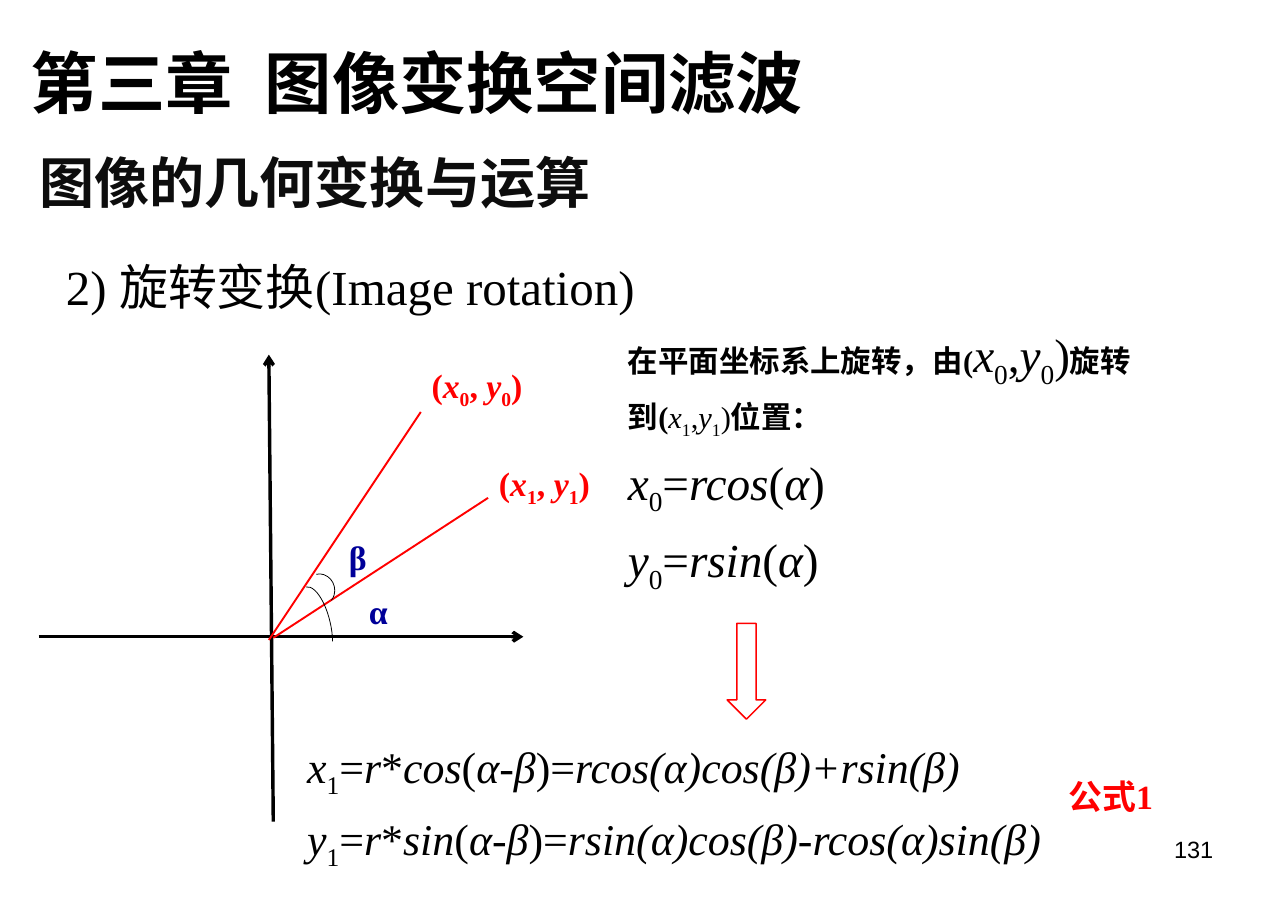
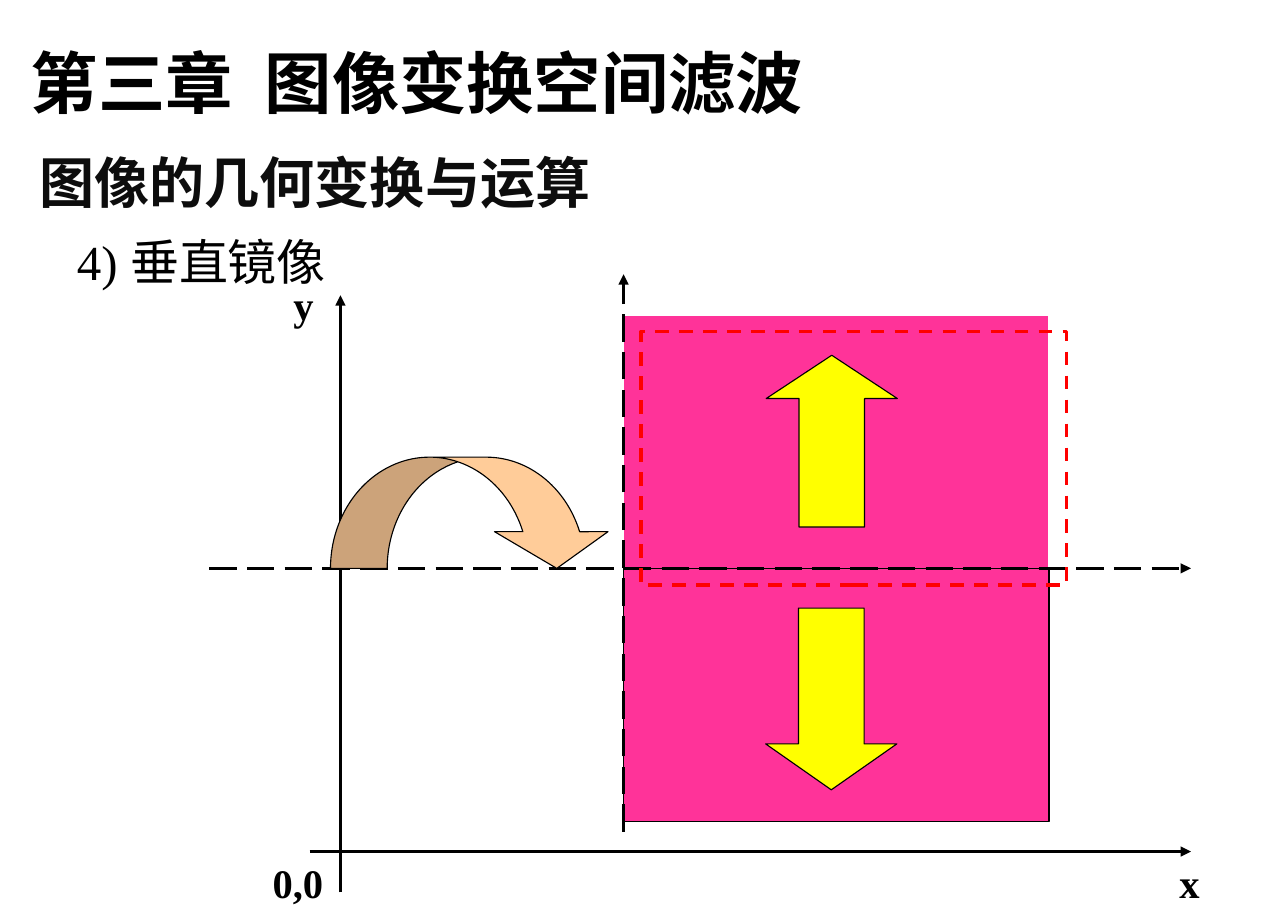
"""Two lecture slides on image rotation and vertical mirroring."""
from dataclasses import dataclass
from typing import Optional

from lxml import etree
from pptx import Presentation
from pptx import util as u
from pptx.dml.color import RGBColor
from pptx.enum import dml, shapes, text
from pptx.oxml import ns

BLACK, WHITE, RED = "000000", "FFFFFF", "FF0000"
NAVY, PINK, YELLOW, PEACH = "000099", "FF3399", "FFFF00", "FFCC99"
SERIF, SANS = "Times New Roman", "Arial"
CHAPTER = ("第三章", "图像变换空间滤波")
SECTION = "图像的几何变换与运算"
PRESET = shapes.MSO_SHAPE
LEFT, CENTER, RIGHT = text.PP_ALIGN.LEFT, text.PP_ALIGN.CENTER, text.PP_ALIGN.RIGHT
TOP, MIDDLE = text.MSO_ANCHOR.TOP, text.MSO_ANCHOR.MIDDLE


@dataclass(frozen=True)
class Span:
    """Marked-up text: slashes enclose italics, underscores enclose subscripts."""
    markup: str
    size: float
    bold: bool = False
    color: str = BLACK
    font: str = SERIF
    tracking: float = 0


@dataclass(frozen=True)
class TextBox:
    """Paragraphs of spans in a frame given in points."""
    frame: tuple[float, float, float, float]
    paragraphs: list[list[Span]]
    spacing: float = 1.0
    align: text.PP_ALIGN = LEFT
    anchor: text.MSO_ANCHOR = TOP
    wrap: bool = True


@dataclass(frozen=True)
class Line:
    """Straight line, with an optional arrowhead at its end."""
    start: tuple[float, float]
    end: tuple[float, float]
    color: str = BLACK
    width: float = 2.25
    arrowhead: str = ""
    dash: Optional[dml.MSO_LINE] = None


@dataclass(frozen=True)
class Figure:
    """Preset shape with fill, outline, rotation and adjustments."""
    preset: shapes.MSO_SHAPE
    frame: tuple[float, float, float, float]
    fill: str = ""
    outline: str = BLACK
    width: float = 0.75
    rotation: float = 0
    adjustments: tuple[float, ...] = ()
    dash: Optional[dml.MSO_LINE] = None


def rgb(value: str) -> RGBColor:
    """Turn a hex string into a colour."""
    return RGBColor.from_string(value)


def points(values: tuple[float, ...]) -> list[u.Length]:
    """Turn point values into lengths."""
    return [u.Pt(value) for value in values]


def apply(target: object, formats: dict[str, object]) -> None:
    """Set every named attribute on the target."""
    for name, value in formats.items():
        setattr(target, name, value)


def add_span(paragraph, span: Span) -> None:
    """Add the runs of one span to a paragraph."""
    for part_index, part in enumerate(span.markup.split("/")):
        for piece_index, piece in enumerate(part.split("_")):
            if not piece:
                continue
            run = paragraph.add_run()
            run.text = piece
            apply(run.font, {"size": u.Pt(span.size), "bold": span.bold,
                             "name": span.font, "italic": part_index % 2 == 1})
            run.font.color.rgb = rgb(span.color)
            properties = run._r.get_or_add_rPr()
            if piece_index % 2:
                properties.set("baseline", "-25000")
            if span.tracking:
                properties.set("spc", str(round(span.tracking * 100)))


def fill_text(shape, box: TextBox) -> None:
    """Place a shape and write the text of a box into it."""
    apply(shape, dict(zip(("left", "top", "width", "height"), points(box.frame))))
    frame = shape.text_frame
    apply(frame, {"word_wrap": box.wrap, "vertical_anchor": box.anchor,
                  "auto_size": text.MSO_AUTO_SIZE.NONE})
    for index, spans in enumerate(box.paragraphs):
        paragraph = frame.add_paragraph() if index else frame.paragraphs[0]
        apply(paragraph, {"alignment": box.align, "line_spacing": box.spacing})
        for span in spans:
            add_span(paragraph, span)


def draw_text(slide, box: TextBox) -> None:
    """Draw a text box."""
    fill_text(slide.shapes.add_textbox(*points(box.frame)), box)


def style_line(line_format, color: str, width: float, dash: Optional[dml.MSO_LINE]) -> None:
    """Set the colour, width and dash of a line."""
    line_format.color.rgb = rgb(color)
    apply(line_format, {"width": u.Pt(width), "dash_style": dash})


def draw_line(slide, line: Line) -> None:
    """Draw a connector without a shadow."""
    connector = slide.shapes.add_connector(
        shapes.MSO_CONNECTOR.STRAIGHT, *points(line.start + line.end))
    style_line(connector.line, line.color, line.width, line.dash)
    if line.arrowhead:
        outline = connector.line._get_or_add_ln()
        etree.SubElement(outline, ns.qn("a:tailEnd"), type=line.arrowhead)
    etree.SubElement(connector._element.spPr, ns.qn("a:effectLst"))


def draw_figure(slide, figure: Figure) -> None:
    """Draw a preset shape."""
    shape = slide.shapes.add_shape(figure.preset, *points(figure.frame))
    shape.shadow.inherit = False
    shape.rotation = figure.rotation
    for index, value in enumerate(figure.adjustments):
        shape.adjustments[index] = value
    if figure.fill:
        shape.fill.solid()
        shape.fill.fore_color.rgb = rgb(figure.fill)
    else:
        shape.fill.background()
    style_line(shape.line, figure.outline, figure.width, figure.dash)


DRAWERS = {TextBox: draw_text, Line: draw_line, Figure: draw_figure}


def build_slide(presentation, elements: list) -> None:
    """Add a slide with the shared headings and its own elements."""
    slide = presentation.slides.add_slide(presentation.slide_layouts[5])
    first, second = (Span(part, 44, True, tracking=-0.1) for part in CHAPTER)
    gap = Span(" ", 44, True, tracking=11)
    fill_text(slide.shapes.title,
              TextBox((13, -2.9, 764, 86.4), [[first, gap, second]], 1.5))
    section = TextBox((18.7, 93.6, 501.8, 51.1),
                      [[Span(SECTION, 36, True, "0D0D0D", SANS)]])
    for element in [section, *elements]:
        DRAWERS[type(element)](slide, element)


def heading(left: float, top: float, words: str) -> TextBox:
    """Return the numbered topic heading."""
    return TextBox((left, top, 682.6, 46), [[Span(words, 32)]])


def graph_label(left: float, top: float, width: float, markup: str, color: str) -> TextBox:
    """Return a bold label for the rotation graph."""
    return TextBox((left, top, width, 33.8), [[Span(markup, 22.1, True, color)]], wrap=False)


def axis_label(left: float, top: float, width: float, words: str) -> TextBox:
    """Return a bold label for the mirror axes."""
    return TextBox((left, top, width, 39.6), [[Span(words, 26.5, True)]],
                   align=CENTER, anchor=MIDDLE, wrap=False)


def angle_arc(*frame: float) -> Figure:
    """Return a thin arc marking an angle."""
    return Figure(PRESET.ARC, frame, width=0.5, rotation=347, adjustments=(162, 33.12))


def rotation_elements() -> list:
    """Return the elements of the rotation slide."""
    explanation = [
        [Span("在平面坐标系上旋转，由(", 19.9, True), Span("/x/_0_,/y/_0_)", 30.9),
         Span("旋转到(", 19.9, True), Span("/x/_1_,/y/_1_)", 19.9),
         Span("位置：", 19.9, True)],
        [Span("/x/_0_=/rcos/(/α/)", 30.9)],
        [Span("/y/_0_=/rsin/(/α/)", 30.9)],
    ]
    formulas = [
        [Span("/x/_1_=/r/*/cos/(/α-β/)=/rcos(α)cos(β)+rsin(β)/", 28.7)],
        [Span("/y/_1_=/r/*/sin/(/α-β/)=/rsin(α)cos(β)-rcos(α)sin(β)/", 28.7)],
    ]
    return [
        heading(36, 164.2, "2) 旋转变换(Image rotation)"),
        TextBox((403.2, 200.9, 350.6, 208), explanation, 1.2),
        graph_label(234, 382.3, 26.6, "α", NAVY),
        Line((25.2, 416.2), (342, 416.2), arrowhead="arrow"),
        Line((178.6, 537.1), (175.7, 231.8), arrowhead="arrow"),
        Line((175.7, 418.3), (275, 269.3), RED, 1.25),
        Line((178.6, 416.9), (319, 325.4), RED, 1.25),
        graph_label(275, 234.7, 76.3, "(/x/_0_, /y/_0_)", RED),
        graph_label(319, 298.8, 76.3, "(/x/_1_, /y/_1_)", RED),
        angle_arc(195.8, 383, 20.2, 51.8),
        angle_arc(199.4, 375.1, 19.4, 20.9),
        graph_label(221, 347, 26.6, "β", NAVY),
        TextBox((193.7, 472.3, 550.8, 90.7), formulas, 1.2),
        Figure(PRESET.DOWN_ARROW, (475.2, 407.5, 25.2, 62.6), WHITE, RED, 1),
        graph_label(691.2, 503.3, 108, "公式1", RED),
        TextBox((603.4, 542.2, 196.6, 41), [[Span("131", 15.4, font=SANS)]], align=RIGHT),
    ]


def mirror_elements() -> list:
    """Return the elements of the vertical mirror slide."""
    left, mirror_y, width, height = 407.5, 371.5, 278, 165.6
    top, axis_x, axis_y, axis_end = mirror_y - height, 222.5, 556.6, 778.3
    long_dash = dml.MSO_LINE.LONG_DASH
    return [
        Line((axis_x, 583.2), (axis_x, 193), arrowhead="triangle"),
        Line((202.3, axis_y), (axis_end, axis_y), arrowhead="triangle"),
        Figure(PRESET.RECTANGLE, (left, top, width, height), PINK, WHITE),
        Figure(PRESET.RECTANGLE, (left, mirror_y, width, height), PINK),
        Line((left, 543.6), (left, 179.3), arrowhead="triangle", dash=long_dash),
        Line((136.8, mirror_y), (axis_end, mirror_y), arrowhead="triangle", dash=long_dash),
        axis_label(170.6, axis_y, 48.2, "0,0"),
        Figure(PRESET.RECTANGLE, (left + 11.5, top + 10.8, width, height),
               outline=RED, width=2.25, dash=dml.MSO_LINE.DASH),
        axis_label(763.2, axis_y, 28.1, "x"),
        axis_label(184.3, 179.3, 28.1, "y"),
        Figure(PRESET.RIGHT_ARROW, (487.4, 245.5, 112.3, 85.7), YELLOW,
               rotation=270, adjustments=(0.5, 0.33)),
        Figure(PRESET.RIGHT_ARROW, (483.8, 414, 118.8, 85.7), YELLOW,
               rotation=90, adjustments=(0.5, 0.35)),
        Figure(PRESET.CURVED_DOWN_ARROW, (216, 298.8, 185, 72.7), PEACH,
               adjustments=(0.51, 1.02, 0.33)),
        heading(43.2, 147.6, "4) 垂直镜像"),
    ]


def main() -> None:
    """Build and save the presentation."""
    presentation = Presentation()
    apply(presentation, {"slide_width": u.Pt(841.68), "slide_height": u.Pt(595.44)})
    for elements in (rotation_elements(), mirror_elements()):
        build_slide(presentation, elements)
    presentation.save("out.pptx")


if __name__ == "__main__":
    main()
